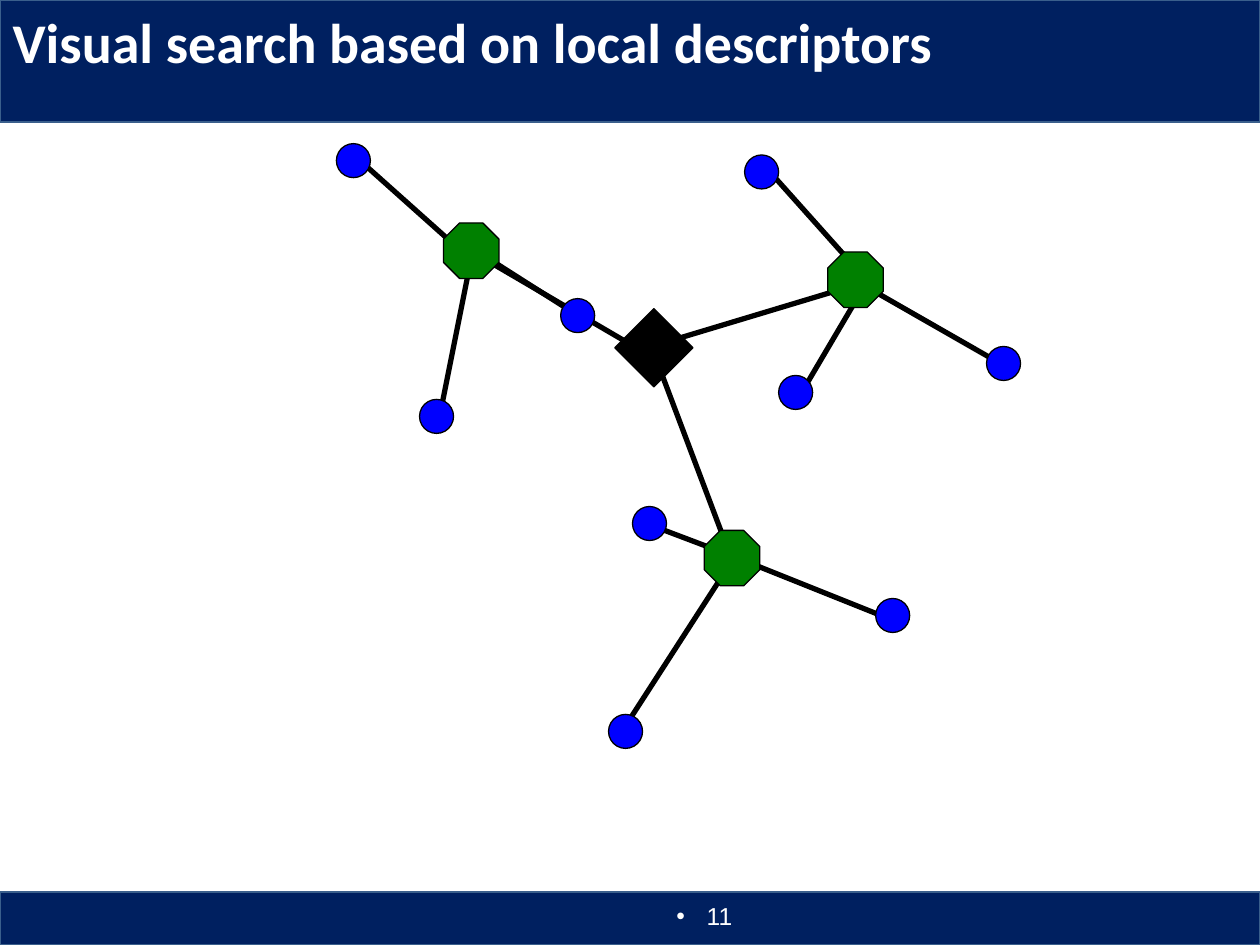
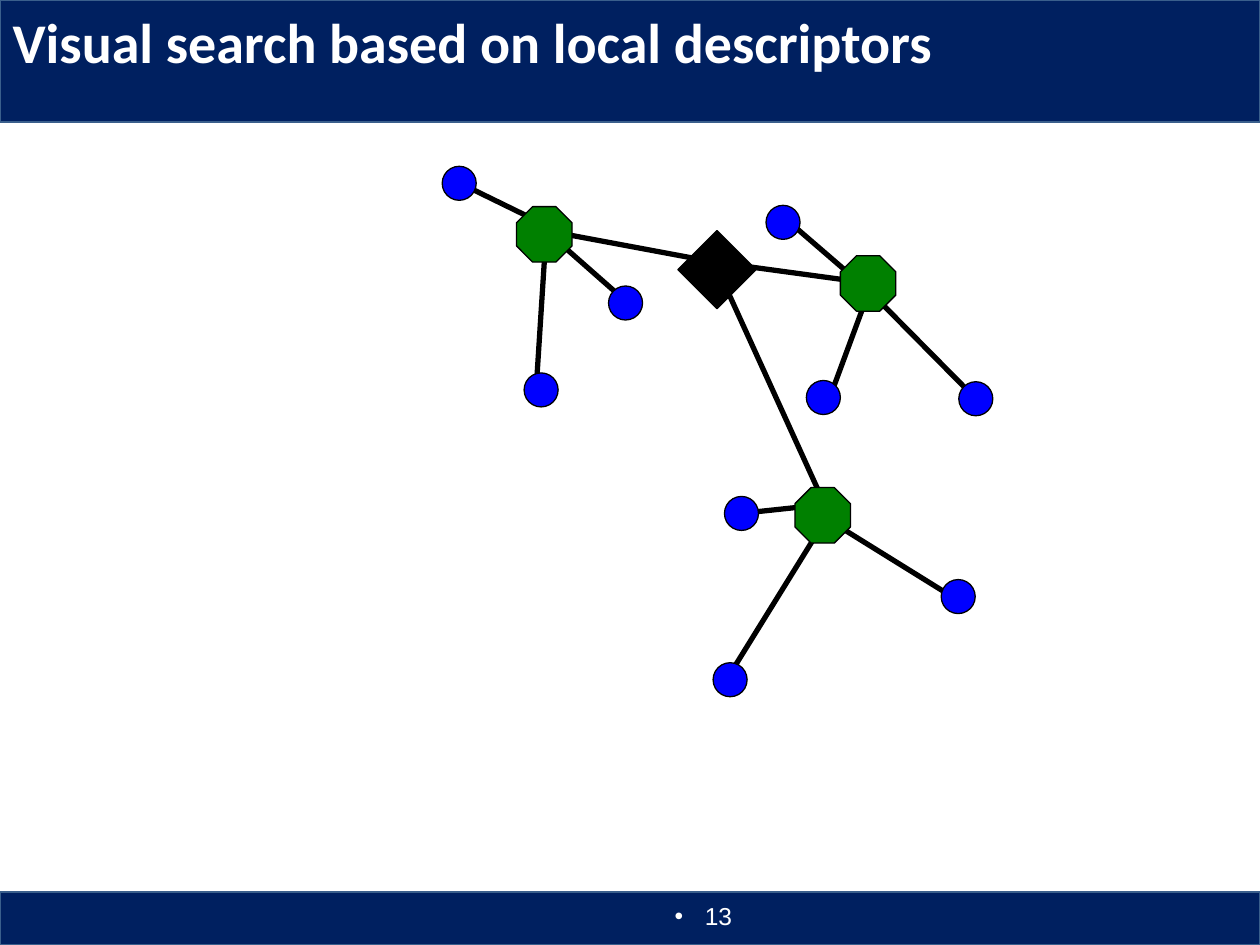
from dataclasses import dataclass

from lxml import etree
from pptx import Presentation
from pptx import util as u
from pptx.dml.color import RGBColor
from pptx.enum import shapes, text
from pptx.oxml import ns

PX = u.Inches(1) // 100


@dataclass(frozen=True)
class Theme:
    navy: str = "002060"
    band_edge: str = "3A5F8C"
    white: str = "FFFFFF"
    black: str = "000000"
    blue: str = "0000FF"
    green: str = "008000"
    title_font: str = "Calibri"
    number_font: str = "Arial"
    title_size: int = 32
    number_size: int = 14


theme = Theme()
TITLE = "Visual search based on local descriptors"
LEAF, CLUSTER, HUB = 27, 44, 62

graphs = [
    {
        "number": "11",
        "edges": [
            (608, 133, 683, 217), (692, 217, 633, 317), (683, 225, 800, 292),
            (517, 417, 583, 442), (583, 442, 492, 583), (583, 442, 708, 492),
            (283, 125, 367, 200), (367, 192, 458, 250), (375, 200, 350, 325),
            (375, 200, 517, 283), (683, 225, 517, 275), (583, 450, 517, 275),
        ],
        "hub": [(488, 245)],
        "clusters": [(559, 421), (657, 200), (352, 177)],
        "leaves": [
            (333, 317), (445, 237), (267, 114),
            (502, 402), (483, 567), (695, 475),
            (783, 275), (591, 123), (618, 298),
        ],
    },
    {
        "number": "13",
        "edges": [
            (625, 175, 683, 225), (692, 225, 658, 317), (692, 233, 775, 317),
            (583, 408, 658, 400), (658, 408, 575, 542), (650, 408, 758, 475),
            (358, 142, 442, 183), (433, 183, 500, 242), (433, 192, 425, 317),
            (433, 183, 567, 208), (692, 225, 567, 208), (658, 408, 567, 208),
        ],
        "hub": [(538, 183)],
        "clusters": [(631, 387), (667, 203), (410, 164)],
        "leaves": [
            (416, 296), (483, 227), (351, 132),
            (575, 394), (566, 526), (747, 460),
            (761, 303), (608, 163), (640, 302),
        ],
    },
]


def write(box, words, *, font, size, color, bold=False, align=text.PP_ALIGN.LEFT,
          top_inset=5, bullet_indent=0):
    frame = box.text_frame
    frame.word_wrap = True
    frame.auto_size = text.MSO_AUTO_SIZE.NONE
    frame.vertical_anchor = text.MSO_ANCHOR.TOP
    frame.margin_left = frame.margin_right = 10 * PX
    frame.margin_top, frame.margin_bottom = top_inset * PX, 5 * PX
    frame.text = words
    paragraph = frame.paragraphs[0]
    paragraph.alignment = align
    if bullet_indent:
        properties = paragraph._p.get_or_add_pPr()
        properties.set("marL", str(bullet_indent * PX))
        properties.set("indent", str(-bullet_indent * PX))
        etree.SubElement(properties, ns.qn("a:buFont")).set("typeface", font)
        etree.SubElement(properties, ns.qn("a:buChar")).set("char", "•")
    run_font = paragraph.runs[0].font
    run_font.name, run_font.size, run_font.bold = font, u.Pt(size), bold
    run_font.color.rgb = RGBColor.from_string(color)


def draw(slide, preset, left, top, width, height, fill, edge, weight):
    shape = slide.shapes.add_shape(preset, left * PX, top * PX, width * PX, height * PX)
    shape.shadow.inherit = False
    shape.fill.solid()
    shape.fill.fore_color.rgb = RGBColor.from_string(fill)
    shape.line.color.rgb = RGBColor.from_string(edge)
    shape.line.width = u.Pt(weight)
    return shape


deck = Presentation()
deck.slide_width, deck.slide_height = 1000 * PX, 750 * PX
layout = deck.slide_layouts.get_by_name("Title Only")
slides = [deck.slides.add_slide(layout) for _ in graphs]

for band_id, (top, height) in enumerate([(0, 97), (708, 42)], start=20):
    band = draw(slides[0], shapes.MSO_SHAPE.RECTANGLE, 0, top, 1000, height,
                theme.navy, theme.band_edge, 1)
    band.element.nvSpPr.cNvPr.set("id", str(band_id))
    layout.shapes.element.append(band.element)

node_styles = [
    ("leaves", shapes.MSO_SHAPE.FLOWCHART_CONNECTOR, LEAF, theme.blue),
    ("hub", shapes.MSO_SHAPE.DIAMOND, HUB, theme.black),
    ("clusters", shapes.MSO_SHAPE.OCTAGON, CLUSTER, theme.green),
]

for slide, graph in zip(slides, graphs):
    title = slide.shapes.title
    title.left, title.top, title.width, title.height = 0, 0, 898 * PX, 100 * PX
    write(title, TITLE, font=theme.title_font, size=theme.title_size,
          color=theme.white, bold=True, top_inset=6)

    page_number = slide.shapes.add_textbox(358 * PX, 708 * PX, 233 * PX, 40 * PX)
    write(page_number, graph["number"], font=theme.number_font, size=theme.number_size,
          color=theme.white, align=text.PP_ALIGN.RIGHT, top_inset=7, bullet_indent=24)

    for ends in graph["edges"]:
        edge = slide.shapes.add_connector(shapes.MSO_CONNECTOR.STRAIGHT,
                                          *(end * PX for end in ends))
        edge.line.color.rgb = RGBColor.from_string(theme.black)
        edge.line.width = u.Pt(3)
        etree.SubElement(edge.element.spPr, ns.qn("a:effectLst"))

    for part, preset, size, fill in node_styles:
        for left, top in graph[part]:
            node = draw(slide, preset, left, top, size, size, fill, theme.black, 0.75)
            if part == "clusters":
                node.adjustments[0] = 0.29

deck.save("out.pptx")
